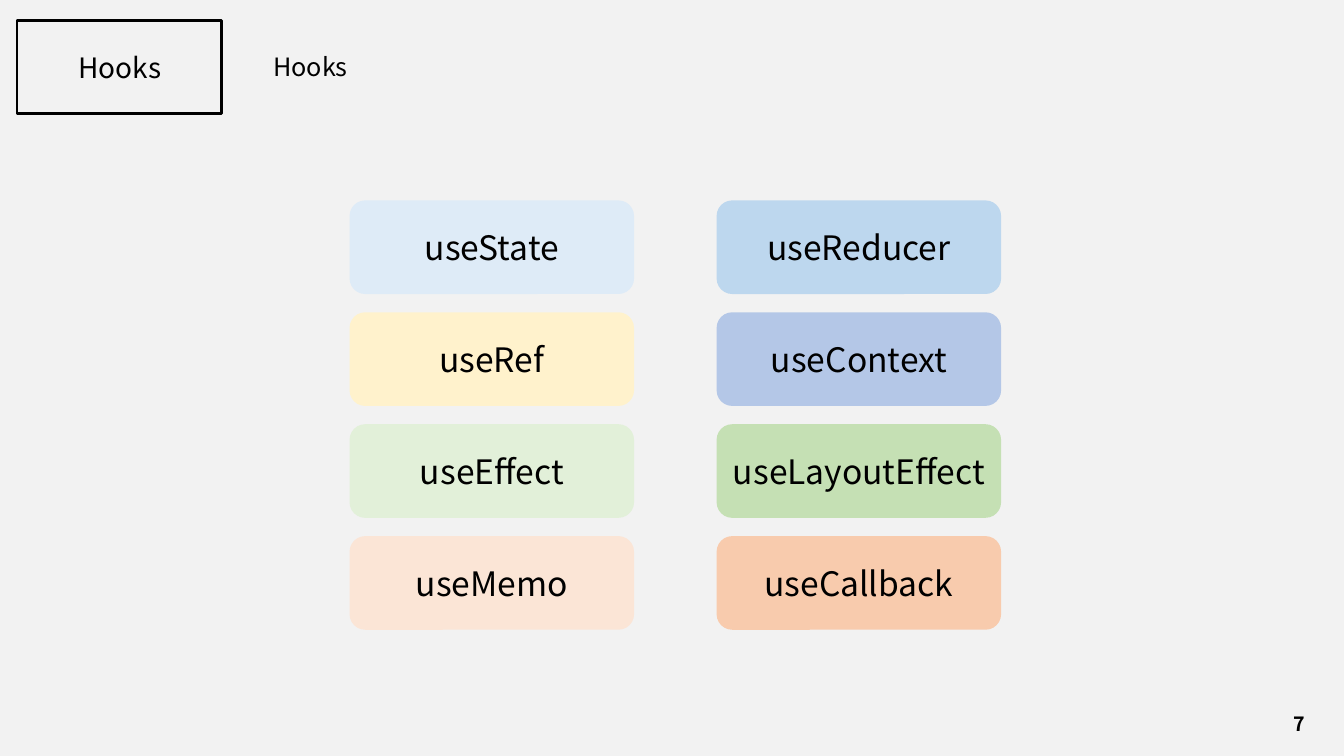
from dataclasses import dataclass
from pptx import Presentation
from pptx.dml.color import RGBColor
from pptx.enum.shapes import MSO_SHAPE
from pptx.enum.text import MSO_ANCHOR, MSO_AUTO_SIZE, PP_ALIGN
from pptx.util import Cm, Pt


@dataclass(frozen=True)
class Theme:
    font: str = "Noto Sans CJK KR"
    ink: str = "000000"
    paper: str = "F2F2F2"
    title: int = 18
    label: int = 20
    card: int = 24
    page: int = 14
    cards: tuple = (
        ("DEEBF7", "BDD7EE"),
        ("FFF2CC", "B4C7E7"),
        ("E2F0D9", "C5E0B4"),
        ("FBE5D6", "F8CBAD"),
    )


class Deck:
    def __init__(self, theme):
        self.theme = theme
        self.show = Presentation()
        self.show.slide_width, self.show.slide_height = Cm(33.87), Cm(19.05)
        self.slide = self.show.slides.add_slide(self.show.slide_layouts[5])
        self.paint(self.slide.background.fill, theme.paper)

    def paint(self, fill, color):
        fill.solid()
        fill.fore_color.rgb = RGBColor.from_string(color)

    def label(self, shape, text, size, align=PP_ALIGN.CENTER,
              anchor=MSO_ANCHOR.MIDDLE, bold=False):
        frame = shape.text_frame
        frame.text = text
        frame.word_wrap = True
        frame.auto_size = MSO_AUTO_SIZE.NONE
        frame.vertical_anchor = anchor
        para = frame.paragraphs[0]
        para.alignment = align
        font = para.font
        font.name, font.size, font.bold = self.theme.font, Pt(size), bold
        font.color.rgb = RGBColor.from_string(self.theme.ink)

    def title(self, text, left, top, width, height):
        shape = self.slide.shapes.title
        shape.left, shape.top = Cm(left), Cm(top)
        shape.width, shape.height = Cm(width), Cm(height)
        self.label(shape, text, self.theme.title, PP_ALIGN.LEFT, MSO_ANCHOR.TOP)

    def text(self, text, box, size, bold=False):
        shape = self.slide.shapes.add_textbox(*map(Cm, box))
        self.label(shape, text, size, bold=bold)

    def frame(self, *box):
        shape = self.slide.shapes.add_shape(MSO_SHAPE.RECTANGLE, *map(Cm, box))
        shape.shadow.inherit = False
        shape.fill.background()
        shape.line.color.rgb = RGBColor.from_string(self.theme.ink)
        shape.line.width = Pt(2)

    def card(self, text, color, *box):
        shape = self.slide.shapes.add_shape(
            MSO_SHAPE.ROUNDED_RECTANGLE, *map(Cm, box))
        shape.shadow.inherit = False
        self.paint(shape.fill, color)
        shape.line.fill.background()
        self.label(shape, text, self.theme.card)
        shape.text_frame.margin_left = shape.text_frame.margin_right = 0


def main():
    theme = Theme()
    deck = Deck(theme)
    deck.title("Hooks", 6.63, 1.17, 9.25, 1.02)
    deck.text("7", (32.13, 17.73, 1.24, 1.02), theme.page, bold=True)
    hooks = (
        ("useState", "useReducer"),
        ("useRef", "useContext"),
        ("useEffect", "useLayoutEffect"),
        ("useMemo", "useCallback"),
    )
    for row, (names, colors) in enumerate(zip(hooks, theme.cards)):
        for col, (name, color) in enumerate(zip(names, colors)):
            deck.card(name, color, 8.81 + col * 9.25, 5.05 + row * 2.82, 7.17, 2.36)
    deck.text("Hooks", (0.58, 1.14, 4.88, 1.12), theme.label)
    deck.frame(0.43, 0.51, 5.16, 2.36)
    deck.show.save("out.pptx")


if __name__ == "__main__":
    main()
